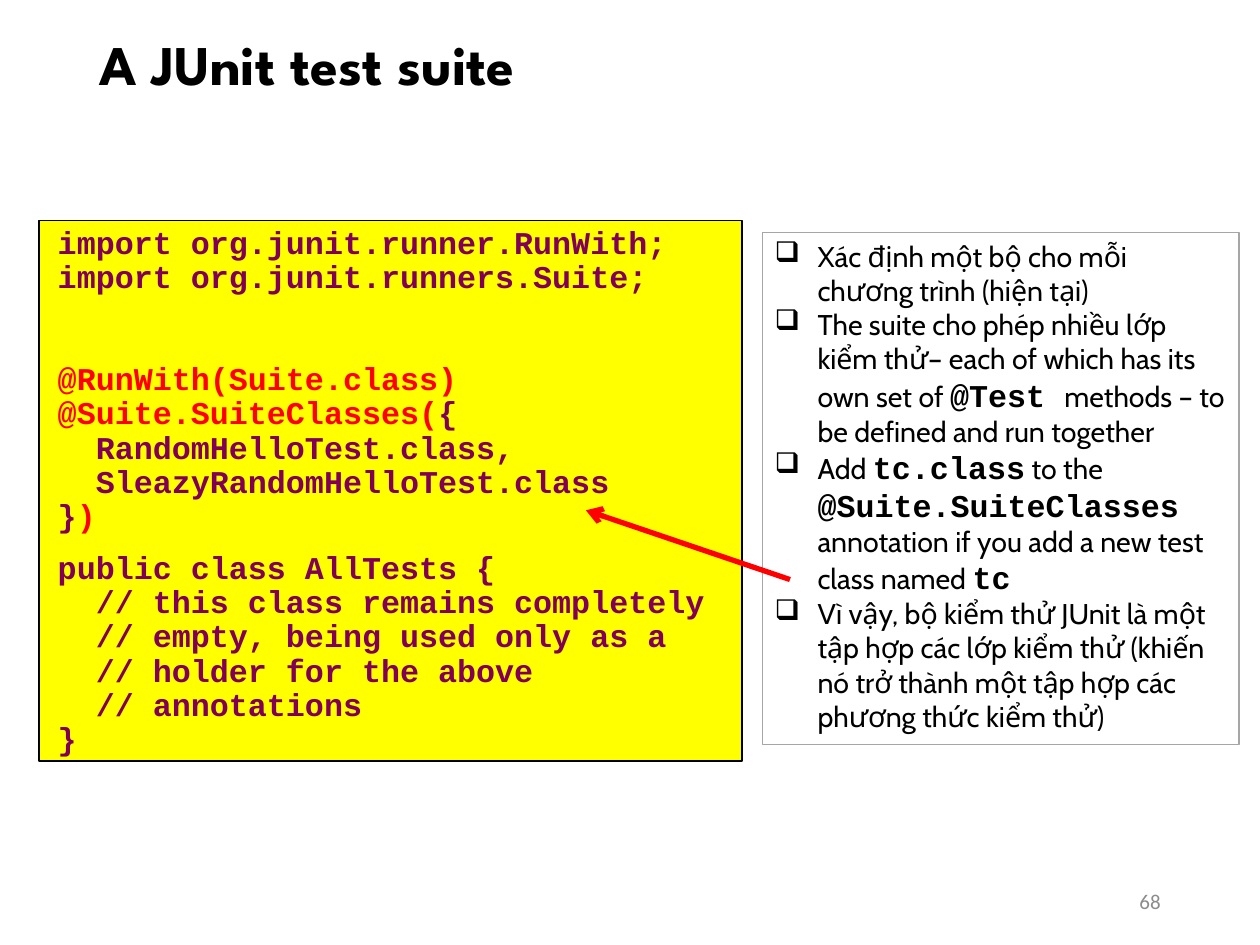
"""Build the slide on JUnit test suites: code, notes and an arrow between them."""
import pptx
import pptx.dml.color
import pptx.enum.shapes
import pptx.enum.text
import pptx.util
from lxml import etree

BLACK = pptx.dml.color.RGBColor(0x00, 0x00, 0x00)
YELLOW = pptx.dml.color.RGBColor(0xFF, 0xFF, 0x00)
RED = pptx.dml.color.RGBColor(0xFF, 0x00, 0x00)
PURPLE = pptx.dml.color.RGBColor(0x7F, 0x00, 0x55)
GRAY = pptx.dml.color.RGBColor(0x8C, 0x8C, 0x8C)
BORDER = pptx.dml.color.RGBColor(0xA6, 0xA6, 0xA6)
DRAWING = "{http://schemas.openxmlformats.org/drawingml/2006/main}"
MONO = "Courier New"
MONO_SIZE = pptx.util.Pt(18.1)

deck = pptx.Presentation()
deck.slide_width = pptx.util.Inches(10)
deck.slide_height = pptx.util.Inches(7.5)
page = deck.slides.add_slide(deck.slide_layouts[6])
column = deck.slide_width / 100
row = deck.slide_height / 100


def place(left, top, width, height):
    return [int(left * column), int(top * row), int(width * column), int(height * row)]


def style(font, name, size, color, bold=False):
    font.name, font.size, font.bold = name, size, bold
    font.color.rgb = color


labels = [
    ("A JUnit test suite", (6.9, 1.73, 86.2, 10.8), "League Spartan", 32, BLACK, True,
     pptx.enum.text.PP_ALIGN.LEFT),
    ("68", (70.6, 92.67, 22.5, 5.33), "Calibri", 12, GRAY, False,
     pptx.enum.text.PP_ALIGN.RIGHT),
]
for text, area, name, size, color, bold, align in labels:
    box = page.shapes.add_textbox(*place(*area))
    box.text_frame.word_wrap = True
    box.text_frame.vertical_anchor = pptx.enum.text.MSO_ANCHOR.MIDDLE
    para = box.text_frame.paragraphs[0]
    para.text = text
    para.alignment = align
    para.line_spacing = 0.9 if bold else 1.0
    style(para.font, name, pptx.util.Pt(size), color, bold)

panels = []
for area, line in [((3.1, 23.33, 55.8, 57.2), BLACK), ((60.5, 24.6, 37.85, 54.2), BORDER)]:
    panel = page.shapes.add_shape(pptx.enum.shapes.MSO_SHAPE.RECTANGLE, *place(*area))
    panel.shadow.inherit = False
    panel.fill.background()
    panel.line.color.rgb = line
    panel.line.width = pptx.util.Pt(0.75)
    panel.text_frame.word_wrap = True
    panel.text_frame.vertical_anchor = pptx.enum.text.MSO_ANCHOR.TOP
    panels.append(panel)
code_panel, notes_panel = panels
code_panel.fill.solid()
code_panel.fill.fore_color.rgb = YELLOW

code_blocks = [
    (0, [("import org.junit.runner.RunWith;\nimport org.junit.runners.Suite;", PURPLE)]),
    (39, [
        ("@RunWith(Suite.class)\n@Suite.SuiteClasses(", RED),
        ("{\n  RandomHelloTest.class,\n  SleazyRandomHelloTest.class\n}", PURPLE),
        (")", RED),
    ]),
    (10, [(
        "public class AllTests {\n"
        "  // this class remains completely\n"
        "  // empty, being used only as a\n"
        "  // holder for the above\n"
        "  // annotations\n"
        "}", PURPLE)]),
]
frame = code_panel.text_frame
for index, (gap, spans) in enumerate(code_blocks):
    para = frame.add_paragraph() if index else frame.paragraphs[0]
    para.alignment = pptx.enum.text.PP_ALIGN.LEFT
    para.line_spacing = 0.9
    para.space_before = pptx.util.Pt(gap)
    para._p.get_or_add_pPr().set("marL", str(pptx.util.Inches(0.05)))
    style(para.font, MONO, MONO_SIZE, PURPLE, True)
    for text, color in spans:
        for number, code_line in enumerate(text.split("\n")):
            if number:
                para.add_line_break()
            span = para.add_run()
            span.text = code_line
            style(span.font, MONO, MONO_SIZE, color, True)

notes = [
    ["Xác định một bộ cho mỗi chương trình (hiện tại)"],
    ["The suite cho phép nhiều lớp kiểm thử– each of which has its own set of ", "@Test ",
     "methods – to be defined and run together"],
    ["Add ", "tc.class", " to the ", "@Suite.SuiteClasses ",
     "annotation if you add a new test class named ", "tc"],
    ["Vì vậy, bộ kiểm thử JUnit là một tập hợp các lớp kiểm thử "
     "(khiến nó trở thành một tập hợp các phương thức kiểm thử)"],
]
frame = notes_panel.text_frame
for index, spans in enumerate(notes):
    para = frame.add_paragraph() if index else frame.paragraphs[0]
    para.alignment = pptx.enum.text.PP_ALIGN.LEFT
    properties = para._p.get_or_add_pPr()
    properties.set("marL", str(pptx.util.Inches(0.34)))
    properties.set("indent", str(-pptx.util.Inches(0.34)))
    etree.SubElement(properties, DRAWING + "buChar", char="❑")
    style(para.font, "Cabin", pptx.util.Pt(16.3), BLACK)
    for number, text in enumerate(spans):
        span = para.add_run()
        span.text = text
        if number % 2:
            style(span.font, MONO, MONO_SIZE, BLACK, True)
        else:
            style(span.font, "Cabin", pptx.util.Pt(16.3), BLACK)

arrow = page.shapes.add_connector(
    pptx.enum.shapes.MSO_CONNECTOR.STRAIGHT, *place(62.7, 61.33, 46.5, 54))
arrow.line.color.rgb = RED
arrow.line.width = pptx.util.Pt(3)
etree.SubElement(arrow.line._get_or_add_ln(), DRAWING + "tailEnd", type="arrow")
etree.SubElement(arrow._element.spPr, DRAWING + "effectLst")

deck.save("out.pptx")
